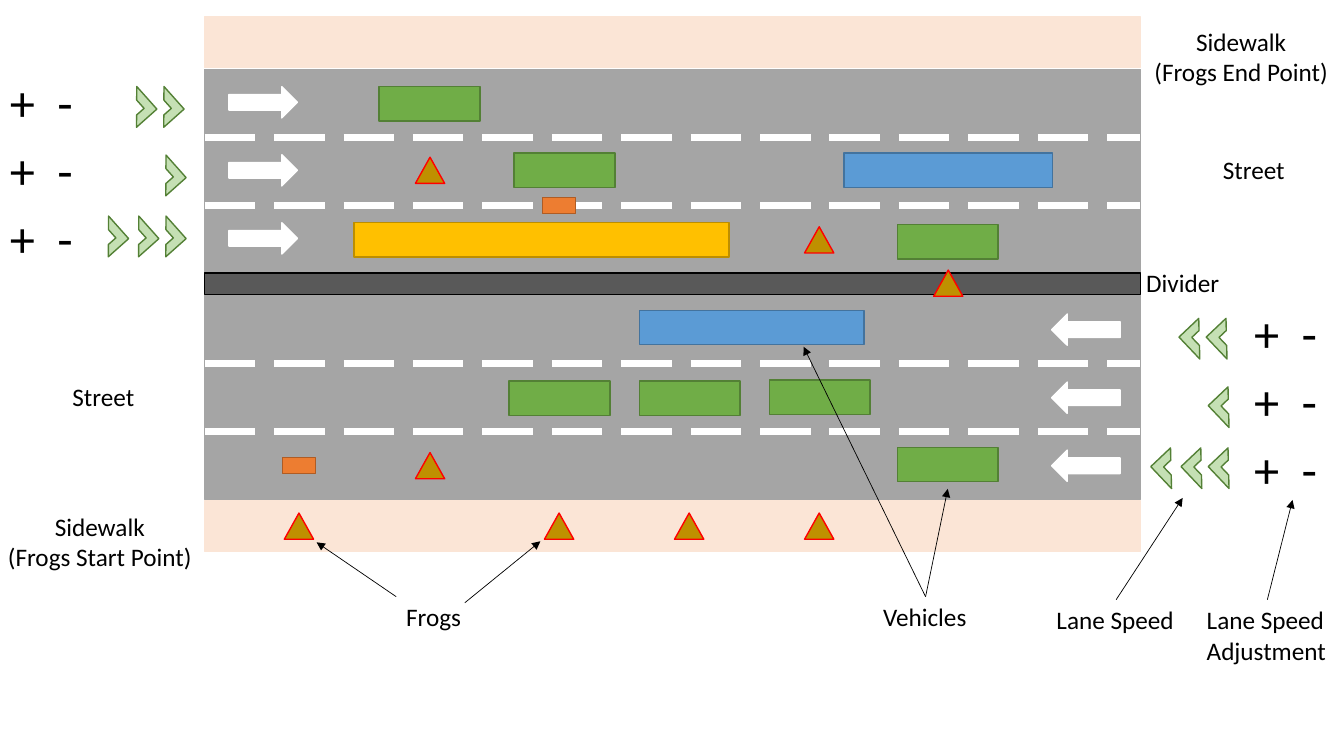
from lxml import etree
from pptx import Presentation, util as u
from pptx.dml.color import RGBColor
from pptx.enum import dml, shapes, text
from pptx.oxml.ns import qn

HUES = {
    "walk": "FBE5D6", "road": "A5A5A5", "wall": "595959", "white": "FFFFFF",
    "black": "000000", "green": "70AD47", "moss": "538035", "gold": "FFC000",
    "brown": "BD8E00", "blue": "5B9BD5", "navy": "43739E", "orange": "ED7D31",
    "rust": "AF5C24", "frog": "BF9000", "red": "FF0000", "mint": "C5E0B4",
}
CELL = u.Inches(0.1)  # the grid has square cells, ten to the inch
KIND = shapes.MSO_SHAPE


def hue(name):
    return RGBColor.from_string(HUES[name])


def cells(*nums):
    return [round(n * CELL) for n in nums]


def write(frame, words, size=18, color="black", align="LEFT", gap=0):
    """Fill a frame, one paragraph per line; gap is letter spacing in points."""
    for i, line in enumerate(words.split("\n")):
        para = frame.paragraphs[0] if i == 0 else frame.add_paragraph()
        para.alignment = getattr(text.PP_ALIGN, align)
        run = para.add_run()
        run.text = line
        font = run.font
        font.name, font.size = "Calibri", u.Pt(size)
        font.color.rgb = hue(color)
        if gap:
            run._r.get_or_add_rPr().set("spc", str(gap * 100))


class Board:
    def __init__(self, slide):
        self.slide = slide

    def shape(self, kind, x, y, w, h, fill, line, turn=0):
        item = self.slide.shapes.add_shape(kind, *cells(x, y, w, h))
        item.shadow.inherit = False
        item.fill.solid()
        item.fill.fore_color.rgb = hue(fill)
        item.line.color.rgb = hue(line)
        item.line.width = u.Pt(1)
        item.rotation = turn

    def rect(self, *args):
        self.shape(KIND.RECTANGLE, *args)

    def line(self, x1, y1, x2, y2, color="black", width=0.5, dash=False, tip=False):
        item = self.slide.shapes.add_connector(
            shapes.MSO_CONNECTOR.STRAIGHT, *cells(x1, y1, x2, y2))
        item.line.color.rgb = hue(color)
        item.line.width = u.Pt(width)
        if dash:
            item.line.dash_style = dml.MSO_LINE.LONG_DASH
        if tip:
            etree.SubElement(item.line._get_or_add_ln(), qn("a:tailEnd"), type="triangle")
        etree.SubElement(item._element.spPr, qn("a:effectLst"))

    def label(self, words, x, y, w, h=4, wrap=False, **form):
        frame = self.slide.shapes.add_textbox(*cells(x, y, w, h)).text_frame
        frame.word_wrap = wrap
        write(frame, words, **form)


deck = Presentation()
deck.slide_width, deck.slide_height = u.Inches(13.33), u.Inches(7.5)
board = Board(deck.slides.add_slide(deck.slide_layouts[6]))

# Sidewalks, streets and divider
LEFT, WIDE, LANE = 20.3, 92.8, 6.75
STREETS = (6.9, 29.3)
for top in (1.7, 49.7):
    board.rect(LEFT, top, WIDE, 5, "walk", "walk")
for top in STREETS:
    for i in range(3):
        board.rect(LEFT, top + i * LANE, WIDE, LANE, "road", "road")
board.rect(LEFT, 27.1, WIDE, 2.1, "wall", "black")
for top in STREETS:
    for i in (1, 2):
        y = top + i * LANE
        board.line(LEFT, y, LEFT + WIDE, y, "white", 4.5, dash=True)

# Lane signs: direction arrow, speed adjustment, speed chevrons
# street: arrow x and drop, arrow turn, sign x and drop, chevron turn
SIDES = ((22.7, 1.7, 0, 0, -0.3, 138.3), (104.3, 1.85, 180, 123.4, 0.2, 316.5))
SPEEDS = (((14.9, 12.2), (15.1,), (15.1, 12.4, 9.4)),
          ((120.3, 117.6), (120.5,), (120.5, 117.8, 114.8)))
DROPS = (2.2, 2.25, 1.55)
for top, side, speeds in zip(STREETS, SIDES, SPEEDS):
    ax, drop, turn, sx, rise, bend = side
    for i, marks in enumerate(speeds):
        y = top + i * LANE
        board.shape(KIND.RIGHT_ARROW, ax, y + drop, 6.8, 3.1, "white", "white", turn)
        board.label("+ -", sx, y + rise, 8.3, 7.1, size=36, gap=4)
        for x in marks:
            board.shape(KIND.HALF_FRAME, x, y + DROPS[i] + (top > 20) * 0.6,
                        2.7, 3, "mint", "moss", bend)

# Vehicles
CARS = ((37.6, 8.6), (51, 15.2), (89, 22.3), (50.5, 37.8),
        (63.4, 37.8), (76.3, 37.7), (89, 44.4))
for x, y in CARS:
    board.rect(x, y, 10, 3.4, "green", "moss")
board.rect(35.1, 22.1, 37.2, 3.4, "gold", "brown")
for x, y, w in ((83.7, 15.2, 20.7), (63.4, 30.8, 22.3)):
    board.rect(x, y, w, 3.4, "blue", "navy")
for x, y in ((28, 45.4), (53.8, 19.6)):
    board.rect(x, y, 3.3, 1.6, "orange", "rust")

# Frogs
FROGS = [(41.2, 15.6), (79.8, 22.5), (92.6, 26.8), (41.2, 44.9)]
FROGS += [(x, 50.9) for x in (28.2, 54, 66.9, 79.8)]
for x, y in FROGS:
    board.shape(KIND.ISOSCELES_TRIANGLE, x, y, 2.9, 2.6, "frog", "red")

# Pointers
for ends in ((39.3, 59.2, 31.4, 53.8), (46.1, 59.8, 53.6, 53.7),
             (91.8, 59.2, 94, 48.5), (91.8, 59.2, 79.7, 34.4),
             (110.7, 59.5, 117.3, 49.4), (125.7, 59.5, 128.2, 49.6)):
    board.line(*ends, tip=True)

# Labels
for words, x, y in (("Sidewalk\n(Frogs Start Point)", -0.3, 50.2),
                    ("Sidewalk\n(Frogs End Point)", 112.9, 2.1)):
    board.label(words, x, y, 20.4, 7.1, wrap=True, align="CENTER")
for words, x, y, w in (("Street", 6.2, 37.3, 8.2), ("Street", 120.3, 14.8, 8.2),
                       ("Divider", 112.7, 26, 9.3), ("Frogs", 39.3, 59.2, 7.5),
                       ("Vehicles", 86.6, 59.2, 10.4),
                       ("Lane Speed", 103.8, 59.5, 13.8)):
    board.label(words, x, y, w)
board.label("Lane Speed\nAdjustment", 118.7, 59.5, 14, 7.1)

deck.save("out.pptx")
